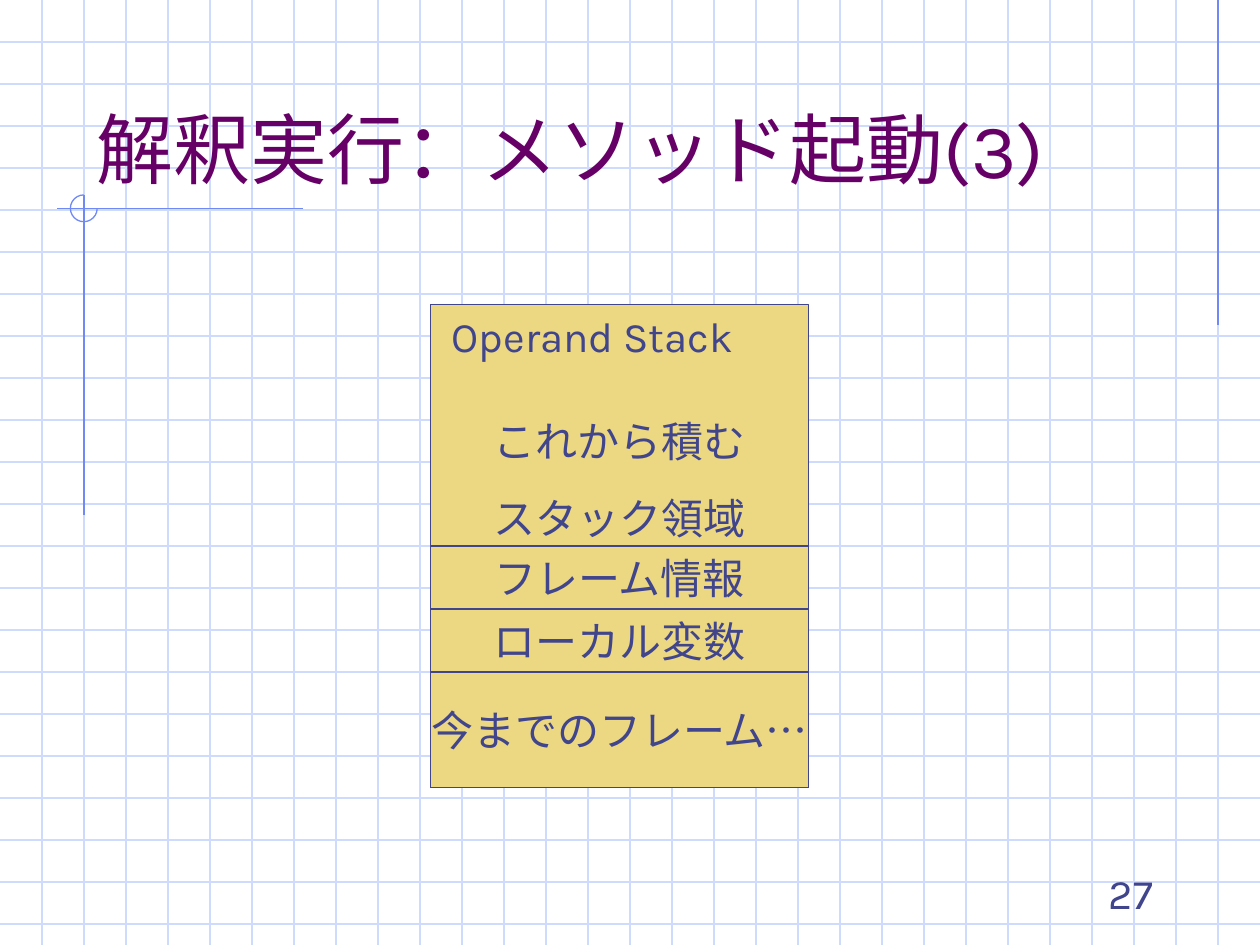
from lxml import etree
from pptx import Presentation
from pptx.dml.color import RGBColor
from pptx.enum.shapes import MSO_CONNECTOR as CONN, MSO_SHAPE as SHAPE
from pptx.enum.text import MSO_ANCHOR as ANCHOR, PP_ALIGN as ALIGN
from pptx.oxml.ns import qn
from pptx.util import Cm, Pt

GRID_BLUE = RGBColor(0xCF, 0xDB, 0xFD)
ACCENT_BLUE = RGBColor(0x6F, 0x89, 0xF7)
PURPLE = RGBColor(0x66, 0x00, 0x66)
NAVY = RGBColor(0x40, 0x45, 0x8C)
SAND = RGBColor(0xEC, 0xD8, 0x82)

WIDTH, HEIGHT = 25.4, 19.05
GRID = 2.54 / 3


def write(tf, text, size=24, color=NAVY, font="Karla", align=ALIGN.LEFT,
          anchor=ANCHOR.TOP, before=0, wrap=True):
    """Fill a text frame, one paragraph for each line of text."""
    tf.word_wrap = wrap
    tf.vertical_anchor = anchor
    for i, line in enumerate(text.split("\n")):
        p = tf.add_paragraph() if i else tf.paragraphs[0]
        p.alignment = align
        p.space_before = Pt(before)
        r = p.add_run()
        r.text = line
        r.font.name, r.font.size = font, Pt(size)
        r.font.color.rgb = color


class Canvas:
    """The current slide and its line style."""

    def __init__(self, slide, line_width=0.75):
        self.shapes = slide.shapes
        self.line_width = Pt(line_width)

    def outline(self, sp, color):
        sp.line.color.rgb = color
        sp.line.width = self.line_width

    def line(self, x1, y1, x2, y2, color):
        c = self.shapes.add_connector(CONN.STRAIGHT, Cm(x1), Cm(y1), Cm(x2), Cm(y2))
        self.outline(c, color)
        etree.SubElement(c._element.spPr, qn("a:effectLst"))

    def shape(self, kind, x, y, w, h, color, fill=None):
        sp = self.shapes.add_shape(kind, Cm(x), Cm(y), Cm(w), Cm(h))
        sp.shadow.inherit = False
        self.outline(sp, color)
        if fill is None:
            sp.fill.background()
        else:
            sp.fill.solid()
            sp.fill.fore_color.rgb = fill
        return sp

    def text(self, x, y, w, h, text, **fmt):
        box = self.shapes.add_textbox(Cm(x), Cm(y), Cm(w), Cm(h))
        write(box.text_frame, text, **fmt)


def main():
    prs = Presentation()
    prs.slide_width, prs.slide_height = Cm(WIDTH), Cm(HEIGHT)
    s = prs.slides.add_slide(prs.slide_layouts[6])
    canvas = Canvas(s)

    # Background grid
    for i in range(1, 23):
        canvas.line(0, i * GRID, WIDTH, i * GRID, GRID_BLUE)
    for i in range(1, 30):
        canvas.line(i * GRID, 0, i * GRID, HEIGHT, GRID_BLUE)

    # Accent lines and open circle
    canvas.line(29 * GRID, 0, 29 * GRID, 6.55, ACCENT_BLUE)
    canvas.line(6.1, 4.2, 1.15, 4.2, ACCENT_BLUE)
    canvas.line(2 * GRID, 3.93, 2 * GRID, 10.39, ACCENT_BLUE)
    arc = canvas.shape(SHAPE.ARC, 1.42, 3.93, 0.54, 0.54, ACCENT_BLUE)
    arc.adjustments[0], arc.adjustments[1] = 0, 162  # 0 to 270 degrees

    # Title
    canvas.text(1.69, 0.85, 21.59, 3.18, "解釈実行：メソッド起動(3)",
                size=44, color=PURPLE, anchor=ANCHOR.BOTTOM)

    # Stack: outer box, then its frames from the bottom up
    left, top, width, height = 8.68, 6.14, 7.62, 9.74
    canvas.shape(SHAPE.RECTANGLE, left, top, width, height, NAVY, SAND)
    y = top + height
    for label, h in (("今までのフレーム…", 2.33),
                     ("ローカル変数", 1.27),
                     ("フレーム情報", 1.27)):
        y -= h
        sp = canvas.shape(SHAPE.RECTANGLE, left, y, width, h, NAVY, SAND)
        write(sp.text_frame, label, align=ALIGN.CENTER, anchor=ANCHOR.MIDDLE,
              wrap=False)

    # Stack captions
    canvas.text(left, top, 6.53, 1.27, "Operand Stack",
                align=ALIGN.CENTER, before=15)
    canvas.text(8.89, 8.26, 7.2, 2.82, "これから積む\nスタック領域",
                align=ALIGN.CENTER, before=15)

    # Slide number
    canvas.text(18.2, 17.36, 5.29, 1.27, "27", align=ALIGN.RIGHT,
                anchor=ANCHOR.BOTTOM)

    prs.save("out.pptx")


if __name__ == "__main__":
    main()
